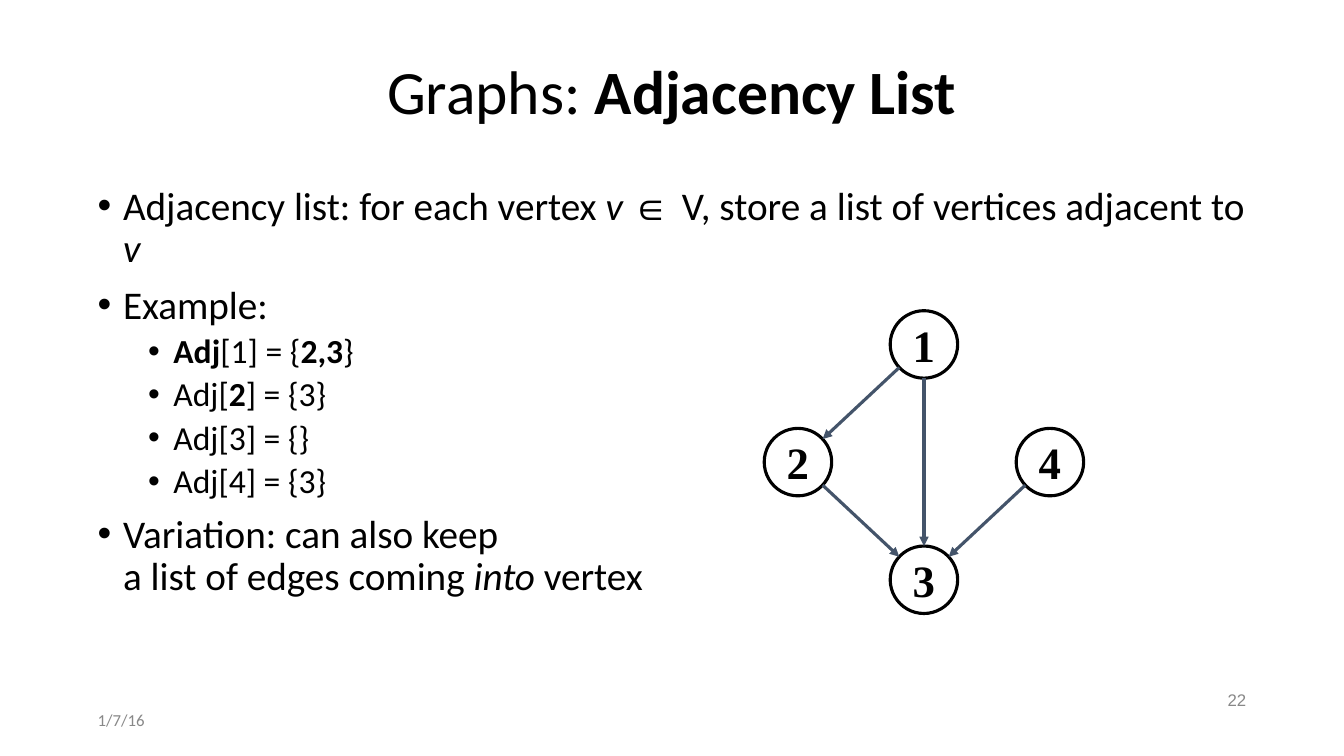
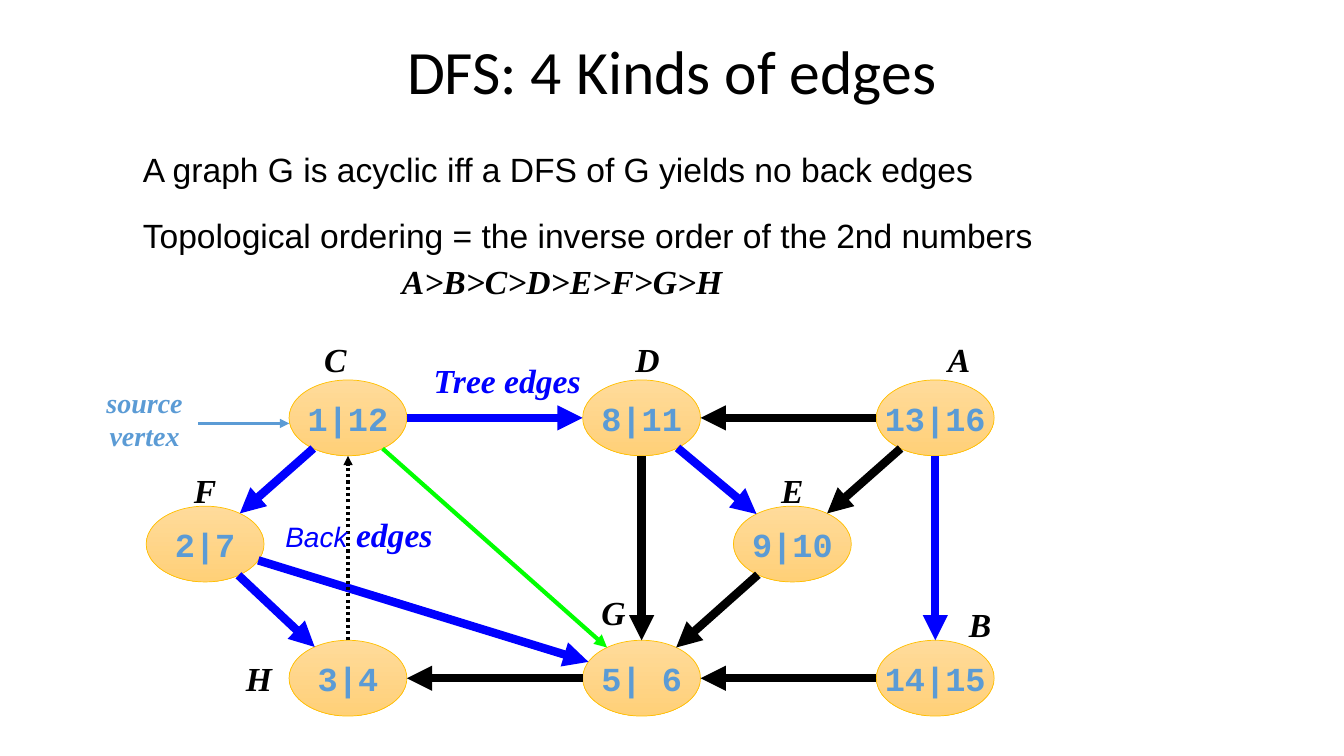
from dataclasses import dataclass
from math import hypot

from lxml import etree
from pptx import Presentation
from pptx.dml.color import RGBColor
from pptx.enum import dml, shapes, text
from pptx.oxml import ns
from pptx.util import Cm, Pt

ALIGN = text.PP_ALIGN
ANCHOR = text.MSO_ANCHOR


@dataclass(frozen=True)
class Theme:
    sans: str = "Calibri"
    plain: str = "Arial"
    serif: str = "Times New Roman"
    mono: str = "Courier New"
    ink: str = "000000"
    grey: str = "888888"
    slate: str = "44546A"
    sky: str = "5B9BD5"
    blue: str = "0000FF"
    green: str = "01FF00"
    gold: str = "FFC000"
    node_top: str = "FFDB9B"
    node_bottom: str = "FFD078"
    title: int = 44
    body: int = 28
    digit: int = 32
    label: int = 24
    small: int = 20
    footer: int = 12
    thin: float = 2.25
    medium: float = 3
    thick: float = 6
    inset: float = 0.13


T = Theme()


def rgb(value):
    return RGBColor.from_string(value)


def add_runs(p, runs, size, font, color=T.ink, flags=""):
    for item in runs:
        words, own_flags, own_font, own_size = (item + (None,) * 3)[:4]
        style = flags if own_flags is None else own_flags
        for i, line in enumerate(words.split("\n")):
            if i:
                p.add_line_break()
            r = p.add_run()
            r.text = line
            r.font.size = Pt(own_size or size)
            r.font.name = own_font or font
            r.font.color.rgb = rgb(color)
            r.font.bold = "b" in style
            r.font.italic = "i" in style


def set_frame(sp, anchor=ANCHOR.TOP, wrap=True, inset=T.inset):
    tf = sp.text_frame
    tf.word_wrap = wrap
    tf.auto_size = text.MSO_AUTO_SIZE.NONE
    tf.vertical_anchor = anchor
    tf.margin_left = tf.margin_right = Cm(inset)
    tf.margin_top = tf.margin_bottom = Cm(inset)
    return tf


def place(sp, box):
    sp.left, sp.top, sp.width, sp.height = (Cm(v) for v in box)


def set_indent(p, left, first, bullet=None):
    pPr = p._p.get_or_add_pPr()
    pPr.set("marL", str(Cm(left)))
    pPr.set("indent", str(Cm(first)))
    if bullet:
        etree.SubElement(pPr, ns.qn("a:buFont")).set("typeface", T.plain)
        etree.SubElement(pPr, ns.qn("a:buChar")).set("char", bullet)
    else:
        etree.SubElement(pPr, ns.qn("a:buNone"))


def add_text(slide, box, runs, size, font, color=T.ink, flags="",
             align=ALIGN.LEFT, anchor=ANCHOR.TOP, wrap=False):
    sp = slide.shapes.add_textbox(*(Cm(v) for v in box))
    p = set_frame(sp, anchor, wrap).paragraphs[0]
    p.alignment = align
    add_runs(p, runs, size, font, color, flags)
    return p


def add_title(slide, box, runs):
    sp = slide.shapes.title
    place(sp, box)
    p = set_frame(sp, ANCHOR.MIDDLE).paragraphs[0]
    p.alignment = ALIGN.CENTER
    p.line_spacing = 0.9
    add_runs(p, runs, T.title, T.sans)


def add_list(slide, box, items):
    sp = slide.placeholders[1]
    place(sp, box)
    tf = set_frame(sp)
    for i, (level, runs) in enumerate(items):
        p = tf.paragraphs[0] if i == 0 else tf.add_paragraph()
        p.level = level
        set_indent(p, 0.64 + 1.27 * level, -0.64, "•")
        p.line_spacing = 0.9
        p.space_before = Pt(0 if i == 0 else 5 if level else 10)
        add_runs(p, runs, T.label if level else T.body, T.sans)


def add_statement(slide, p, words):
    p.level = 1
    set_indent(p, 0, 0.64)
    p.space_before = Pt(0)
    add_runs(p, [(words,)], T.label, T.plain)


def add_footer(slide, box, words, font, align):
    add_text(slide, box, [(words,)], T.footer, font, T.grey,
             align=align, anchor=ANCHOR.MIDDLE, wrap=True)


def add_node(slide, center, size, words, line, width, font, type_size, color,
             shaded=False):
    (cx, cy), (w, h) = center, size
    sp = slide.shapes.add_shape(shapes.MSO_SHAPE.OVAL, Cm(cx - w / 2),
                                Cm(cy - h / 2), Cm(w), Cm(h))
    sp.shadow.inherit = False
    if shaded:
        sp.fill.gradient()
        sp.fill.gradient_angle = 270
        for stop, tone in zip(sp.fill.gradient_stops,
                              (T.node_top, T.node_bottom)):
            stop.color.rgb = rgb(tone)
    else:
        sp.fill.background()
    sp.line.color.rgb = rgb(line)
    sp.line.width = Pt(width)
    p = set_frame(sp, ANCHOR.MIDDLE, False, 0).paragraphs[0]
    p.alignment = ALIGN.CENTER
    add_runs(p, [(words,)], type_size, font, color, "b")


def add_arrow(slide, start, end, color, width, dotted=False):
    c = slide.shapes.add_connector(shapes.MSO_CONNECTOR.STRAIGHT,
                                   *(Cm(v) for v in start + end))
    c.line.color.rgb = rgb(color)
    c.line.width = Pt(width)
    if dotted:
        c.line.dash_style = dml.MSO_LINE.ROUND_DOT
    ln = c.line._get_or_add_ln()
    etree.SubElement(ln, ns.qn("a:tailEnd")).set("type", "triangle")
    etree.SubElement(c._element.spPr, ns.qn("a:effectLst"))


def add_edge(slide, a, b, size, color, width, dotted=False):
    dx, dy = b[0] - a[0], b[1] - a[1]
    t = 1 / hypot(2 * dx / size[0], 2 * dy / size[1])
    start = (a[0] + t * dx, a[1] + t * dy)
    end = (b[0] - t * dx, b[1] - t * dy)
    add_arrow(slide, start, end, color, width, dotted)


def add_digraph(slide, box):
    x, y, w, h = box
    size = (1.7, 1.7)
    spots = {"1": (0.5, 0), "2": (0, 0.5), "4": (1, 0.5), "3": (0.5, 1)}
    centers = {k: (x + fx * w, y + fy * h) for k, (fx, fy) in spots.items()}
    for name, center in centers.items():
        add_node(slide, center, size, name, T.ink, T.thin, T.serif,
                 T.digit, T.ink)
    for a, b in ("12", "23", "43", "13"):
        add_edge(slide, centers[a], centers[b], size, T.slate, T.thin)


def add_dfs_graph(slide, box):
    x, y, w, h = box
    size = (2.97, 1.91)
    cols = [0, 3.6, 11, 14.8, w]
    rows = [0, 3.18, h]
    nodes = {
        "C": (1, 0, "1|12", -0.32, -1.48),
        "D": (2, 0, "8|11", 0.15, -1.48),
        "A": (4, 0, "13|16", 0.6, -1.48),
        "B": (4, 2, "14|15", 1.13, -1.38),
        "G": (2, 2, "5| 6", -0.71, -1.66),
        "H": (1, 2, "3|4", -2.24, 0),
        "F": (0, 1, "2|7", 0, -1.36),
        "E": (3, 1, "9|10", 0, -1.36),
    }
    centers = {k: (x + cols[n[0]], y + rows[n[1]]) for k, n in nodes.items()}
    for name, node in nodes.items():
        add_node(slide, centers[name], size, node[2], T.gold, 0.5, T.mono,
                 T.label, T.sky, shaded=True)

    kinds = [
        (("CF", "FH", "FG", "CD", "DE", "AB"), T.blue, T.thick, False),
        (("GH", "DG", "AD", "AE", "BG", "EG"), T.ink, T.thick, False),
        (("HC",), T.ink, T.thin, True),
        (("CG",), T.green, T.medium, False),
    ]
    for pairs, color, width, dotted in kinds:
        for a, b in pairs:
            add_edge(slide, centers[a], centers[b], size, color, width, dotted)

    add_arrow(slide, (x - 0.17, y + 0.14), (x + 2.12, y + 0.14), T.sky, T.thin)
    add_text(slide, (x - 2.63, y - 0.95, 2.21, 1.85), [("source\nvertex",)],
             T.small, T.serif, T.sky, "bi", ALIGN.CENTER)
    add_text(slide, (x + 5.63, y - 1.59, 3.99, 1.17), [("Tree edges",)],
             T.label, T.serif, T.blue, "bi")
    add_text(slide, (x + 1.89, y + 2.3, 3.99, 1.17),
             [("Back", "i", T.plain, T.small), (" edges",)],
             T.label, T.serif, T.blue, "bi")
    for name, (_, _, _, dx, dy) in nodes.items():
        cx, cy = centers[name]
        add_text(slide, (cx + dx - 0.43, cy + dy - 0.58, 0.86, 1.17),
                 [(name,)], T.label, T.serif, T.ink, "bi",
                 ALIGN.CENTER, ANCHOR.MIDDLE)


def adjacency_slide(prs):
    slide = prs.slides.add_slide(prs.slide_layouts[1])
    add_title(slide, (2.33, 1.01, 29.21, 2.72),
              [("Graphs: ",), ("Adjacency List", "b")])
    add_list(slide, (2.33, 4.57, 29.62, 12.57), [
        (0, [("Adjacency list: for each vertex ",), ("v ", "i"),
             ("∈ ", "", T.plain),
             ("V, store a list of vertices adjacent to ",), ("v", "i")]),
        (0, [("Example:",)]),
        (1, [("Adj", "b"), ("[1] = {",), ("2,3", "b"), ("}",)]),
        (1, [("Adj[",), ("2", "b"), ("] = {3}",)]),
        (1, [("Adj[3] = {}",)]),
        (1, [("Adj[4] = {3}",)]),
        (0, [("Variation: can also keep\na list of edges coming ",),
             ("into ", "i"), ("vertex",)]),
    ])
    add_digraph(slide, (20.11, 8.68, 6.35, 5.93))
    add_footer(slide, (2.33, 17.78, 7.62, 0.74), "1/7/16", T.sans, ALIGN.LEFT)
    add_footer(slide, (23.92, 17.27, 7.62, 0.74), "22", T.plain, ALIGN.RIGHT)


def dfs_slide(prs):
    slide = prs.slides.add_slide(prs.slide_layouts[1])
    add_title(slide, (2.33, 0.53, 29.21, 2.72), [("DFS: 4 Kinds of edges",)])
    body = slide.placeholders[1]
    place(body, (2.83, 3.61, 23.47, 1.65))
    add_statement(slide, set_frame(body).paragraphs[0],
                  "A graph G is acyclic iff a DFS of G yields no back edges")
    p = add_text(slide, (2.83, 5.28, 23.47, 1.65), [], T.label, T.plain,
                 wrap=True)
    add_statement(slide, p,
                  "Topological ordering = the inverse order of the 2nd numbers")
    add_text(slide, (9.98, 6.5, 8.38, 1.17), [("A>B>C>D>E>F>G>H",)],
             T.label, T.serif, T.ink, "bi", ALIGN.CENTER, ANCHOR.MIDDLE)
    add_dfs_graph(slide, (5.17, 10.53, 18.4, 6.56))


def main():
    prs = Presentation()
    prs.slide_width, prs.slide_height = Cm(33.87), Cm(19.05)
    adjacency_slide(prs)
    dfs_slide(prs)
    prs.save("out.pptx")


if __name__ == "__main__":
    main()
